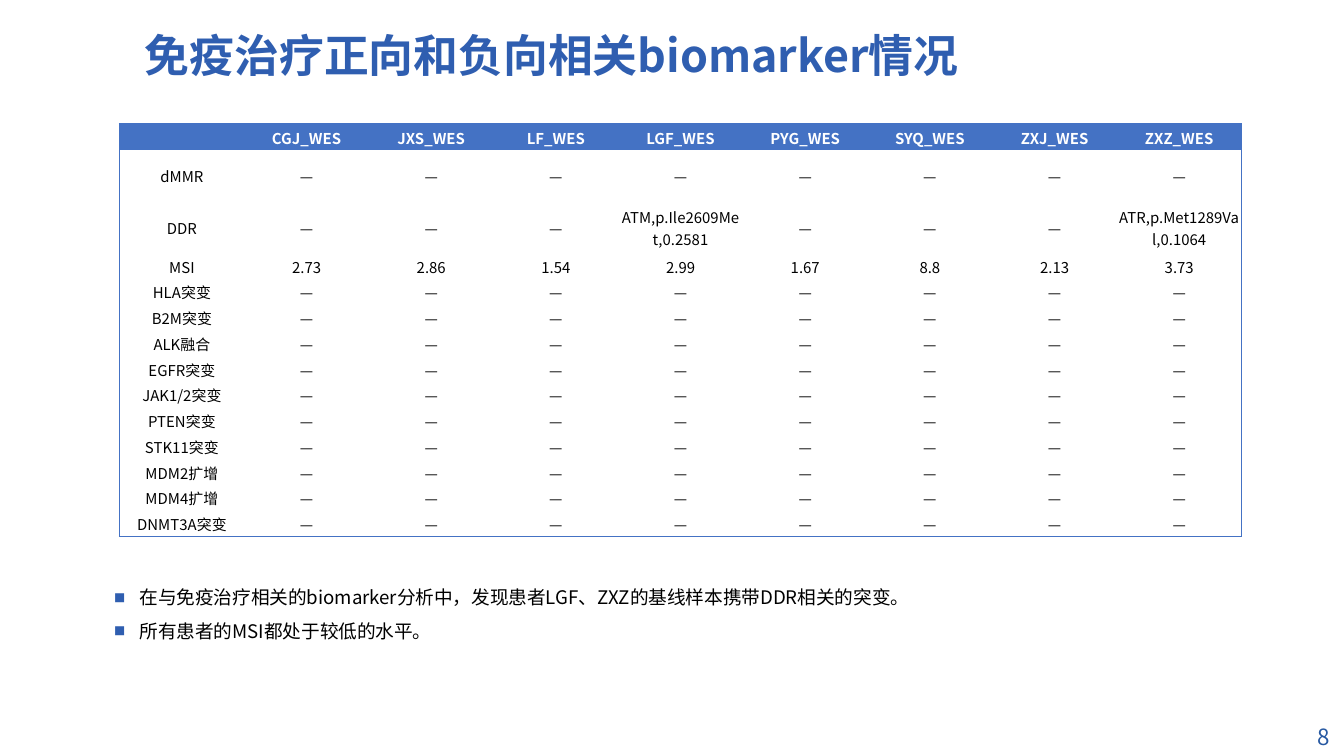
"""Build the slide on biomarkers linked to immunotherapy response."""
from lxml.etree import SubElement
from pptx import Presentation
from pptx.dml.color import RGBColor
from pptx.enum.text import MSO_ANCHOR as ANCHOR, PP_ALIGN as ALIGN
from pptx.oxml.ns import qn
from pptx.util import Inches, Pt

W = Inches(10)
H = W * 9 // 16
FONT = "Noto Sans CJK SC"
TITLE_BLUE = RGBColor(0x2F, 0x5E, 0xB0)
PAGE_BLUE = RGBColor(0x27, 0x59, 0xA2)
TABLE_BLUE = RGBColor(0x44, 0x72, 0xC4)
WHITE = RGBColor(0xFF, 0xFF, 0xFF)
BLACK = RGBColor(0, 0, 0)
PLAIN_TABLE = "{2D5ABB26-0587-4C30-8999-92F81FD0307C}"
DASH = "—"
CELL_SIZE = 8
CELL_FORMAT = dict(margin_left=Inches(0.01), margin_right=Inches(0.01),
                   margin_top=Inches(0.01), margin_bottom=0,
                   vertical_anchor=ANCHOR.MIDDLE)

PATIENTS = ["CGJ", "JXS", "LF", "LGF", "PYG", "SYQ", "ZXJ", "ZXZ"]
MARKERS = ["dMMR", "DDR", "MSI", "HLA突变", "B2M突变", "ALK融合", "EGFR突变",
           "JAK1/2突变", "PTEN突变", "STK11突变", "MDM2扩增", "MDM4扩增",
           "DNMT3A突变"]
FINDINGS = {
    "DDR": {"LGF": "ATM,p.Ile2609Met,0.2581", "ZXZ": "ATR,p.Met1289Val,0.1064"},
    "MSI": dict(zip(PATIENTS, ["2.73", "2.86", "1.54", "2.99",
                               "1.67", "8.8", "2.13", "3.73"])),
}
TALL_ROWS = {"dMMR": 2, "DDR": 2}
NOTES = ["在与免疫治疗相关的biomarker分析中，发现患者LGF、ZXZ的基线样本携带DDR相关的突变。",
         "所有患者的MSI都处于较低的水平。"]


def set_all(obj, values):
    """Set each attribute named in values."""
    for name, value in values.items():
        setattr(obj, name, value)


def add_run(p, text, size, color, bold=False):
    """Add a run in the slide's font for Latin and East Asian text."""
    r = p.add_run()
    r.text = text
    set_all(r.font, dict(name=FONT, size=Pt(size), bold=bold))
    r.font.color.rgb = color
    SubElement(r.font._element, qn("a:ea"), typeface=FONT)


def add_bullet(p):
    """Give a paragraph a small hanging blue square bullet."""
    pPr = p._p.get_or_add_pPr()
    pPr.set("marL", str(Inches(0.19)))
    pPr.set("indent", str(-Inches(0.19)))
    clr = SubElement(pPr, qn("a:buClr"))
    SubElement(clr, qn("a:srgbClr"), val=str(TITLE_BLUE))
    SubElement(pPr, qn("a:buSzPct"), val="60000")
    SubElement(pPr, qn("a:buFont"), typeface=FONT)
    SubElement(pPr, qn("a:buChar"), char="■")


def add_text(s, box, lines, size, color, bold=False, bullet=False,
             frame=None, para=None):
    """Add a text box, placed in shares of the slide, one paragraph a line."""
    x, y, w, h = box
    sp = s.shapes.add_textbox(int(x * W), int(y * H), int(w * W), int(h * H))
    tf = sp.text_frame
    set_all(tf, dict(word_wrap=True, **(frame or {})))
    for i, line in enumerate(lines):
        p = tf.add_paragraph() if i else tf.paragraphs[0]
        set_all(p, para or {})
        if bullet:
            add_bullet(p)
        add_run(p, line, size, color, bold)


def add_border(cell, sides):
    """Draw blue lines on the given sides of a cell, in L, R, T, B order."""
    tcPr = cell._tc.get_or_add_tcPr()
    for side in sides:
        ln = SubElement(tcPr, qn(f"a:ln{side}"), w=str(Pt(0.9)))
        fill = SubElement(ln, qn("a:solidFill"))
        SubElement(fill, qn("a:srgbClr"), val=str(TABLE_BLUE))


def fill_cell(cell, text, header):
    """Write centred text in a cell and colour its ground."""
    set_all(cell, CELL_FORMAT)
    cell.fill.solid()
    cell.fill.fore_color.rgb = TABLE_BLUE if header else WHITE
    p = cell.text_frame.paragraphs[0]
    p.alignment = ALIGN.CENTER
    if text:
        add_run(p, text, CELL_SIZE, WHITE if header else BLACK, header)
    else:
        SubElement(p._p, qn("a:endParaRPr"), sz=str(CELL_SIZE * 100))


def add_marker_table(s, box):
    """Add the marker by patient table with a frame round its outside."""
    x, y, w, h = box
    rows = [[""] + [f"{name}_WES" for name in PATIENTS]]
    rows += [[m] + [FINDINGS.get(m, {}).get(name, DASH) for name in PATIENTS]
             for m in MARKERS]
    units = [1] + [TALL_ROWS.get(m, 1) for m in MARKERS]
    n_rows, n_cols = len(rows), len(rows[0])
    sp = s.shapes.add_table(n_rows, n_cols, int(x * W), int(y * H),
                            int(w * W), int(h * H))
    table = sp.table
    set_all(table, dict(first_row=False, horz_banding=False))
    table._tbl.tblPr.find(qn("a:tableStyleId")).text = PLAIN_TABLE
    for col in table.columns:
        col.width = int(w * W / n_cols)
    for i, (row, unit) in enumerate(zip(rows, units)):
        table.rows[i].height = int(h * H * unit / sum(units))
        for j, text in enumerate(row):
            cell = table.cell(i, j)
            edges = dict(L=j == 0, R=j == n_cols - 1, T=i == 0, B=i == n_rows - 1)
            add_border(cell, [side for side, outer in edges.items() if outer])
            fill_cell(cell, text, header=i == 0)


def main():
    """Build and save the slide."""
    prs = Presentation()
    set_all(prs, dict(slide_width=W, slide_height=H))
    s = prs.slides.add_slide(prs.slide_layouts[6])
    middle = dict(vertical_anchor=ANCHOR.MIDDLE)
    add_text(s, (0.908, 0.95, 0.091, 0.05), ["8"], 12, PAGE_BLUE,
             frame=middle, para=dict(alignment=ALIGN.RIGHT))
    add_text(s, (0.098, 0.024, 0.654, 0.105), ["免疫治疗正向和负向相关biomarker情况"],
             24, TITLE_BLUE, bold=True, frame=middle, para=dict(line_spacing=0.9))
    add_text(s, (0.075, 0.752, 0.862, 0.103), NOTES, 10, BLACK,
             bullet=True, para=dict(line_spacing=1.5))
    add_marker_table(s, (0.089, 0.164, 0.835, 0.546))
    prs.save("out.pptx")


if __name__ == "__main__":
    main()
